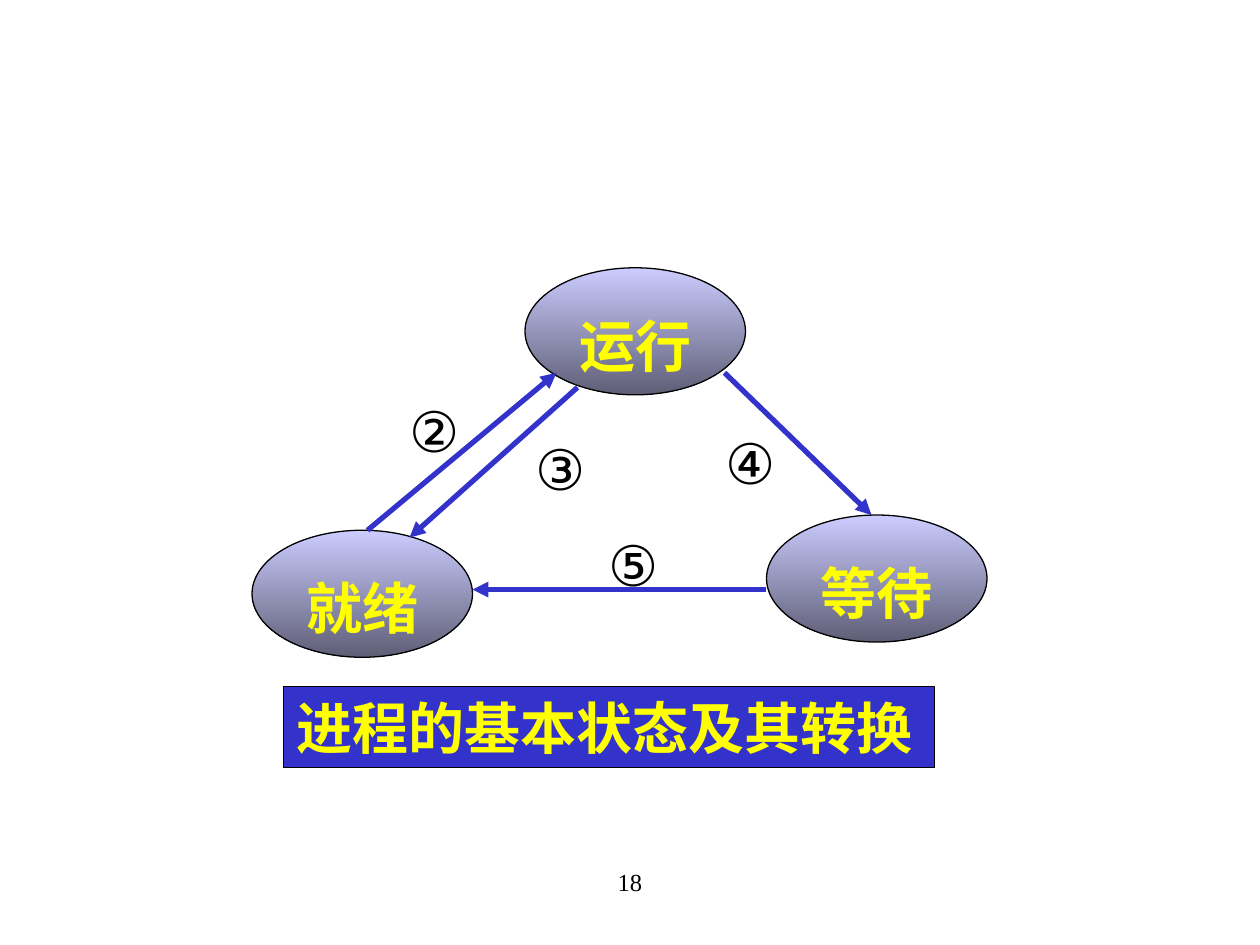
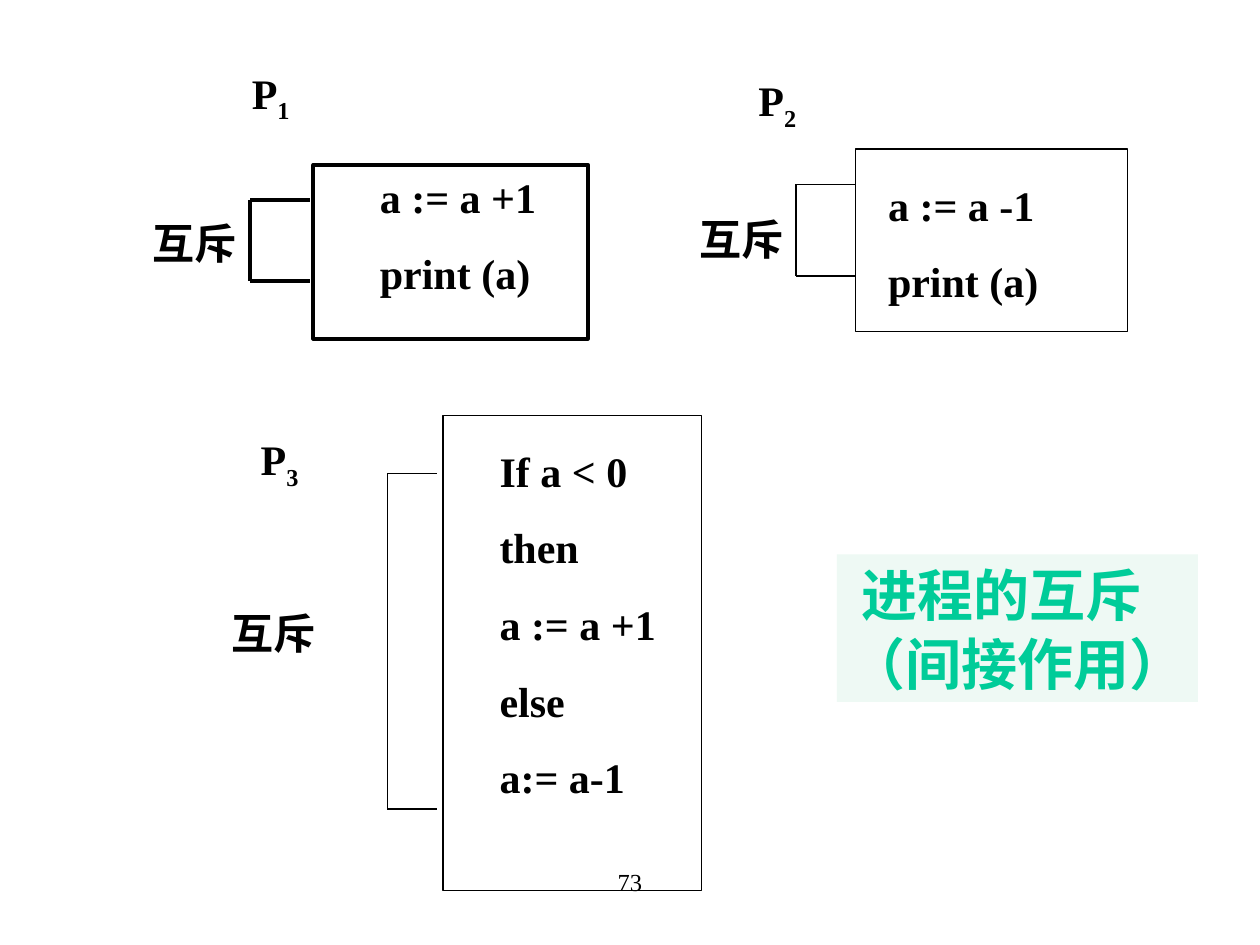
from dataclasses import dataclass

from lxml import etree
from pptx import Presentation
from pptx import util as u
from pptx.dml.color import RGBColor
from pptx.enum import shapes, text
from pptx.oxml.ns import qn

COLS, ROWS = 120, 90
CELL = u.Inches(10) // COLS

BLACK = RGBColor(0x00, 0x00, 0x00)
YELLOW = RGBColor(0xFF, 0xFF, 0x00)
BLUE = RGBColor(0x33, 0x33, 0xCC)
LILAC = RGBColor(0xCC, 0xCC, 0xFF)
SLATE = RGBColor(0x5E, 0x5E, 0x76)
GREEN = RGBColor(0x00, 0xCC, 0x99)
MINT = RGBColor(0xEE, 0xF9, 0xF4)

SERIF, SANS, CJK = "Times New Roman", "Arial", "Noto Sans CJK SC"


@dataclass
class Box:
    """A region in grid cells; inner() places a part relative to its corner."""
    x: float
    y: float
    w: float
    h: float

    def inner(self, x, y, w, h):
        return Box(self.x + x, self.y + y, w, h)

    def point(self, x, y):
        return cells(self.x + x), cells(self.y + y)

    def emu(self):
        return [cells(n) for n in (self.x, self.y, self.w, self.h)]


def cells(n):
    return round(n * CELL)


def style_run(r, size, color, bold, font):
    r.font.size = u.Pt(size)
    r.font.bold = bold
    r.font.color.rgb = color
    r.font.name = font
    ea = etree.SubElement(r.font._element, qn("a:ea"))
    ea.set("typeface", SANS if font == SANS else CJK)


def fill_text(sp, lines, size, color=BLACK, bold=True, font=SERIF,
              align=text.PP_ALIGN.LEFT, wrap=True, gap=0):
    tf = sp.text_frame
    tf.text = "\n".join(lines)
    tf.word_wrap = wrap
    tf.auto_size = text.MSO_AUTO_SIZE.NONE
    tf.vertical_anchor = text.MSO_ANCHOR.MIDDLE
    for i, p in enumerate(tf.paragraphs):
        p.alignment = align
        p.space_before = u.Pt(gap if i else 0)
        for r in p.runs:
            style_run(r, size, color, bold, font)
    return tf


def add_text(s, box, lines, size, **style):
    return fill_text(s.shapes.add_textbox(*box.emu()), lines, size, **style)


def add_outlined(s, kind, box, width=0.75):
    sp = s.shapes.add_shape(kind, *box.emu())
    sp.shadow.inherit = False
    sp.fill.background()
    sp.line.color.rgb = BLACK
    sp.line.width = u.Pt(width)
    return sp


def add_line(s, start, end, color=BLACK, width=0.75, arrow=False):
    c = s.shapes.add_connector(shapes.MSO_CONNECTOR.STRAIGHT, *start, *end)
    c.line.color.rgb = color
    c.line.width = u.Pt(width)
    if arrow:
        etree.SubElement(c.line._get_or_add_ln(), qn("a:tailEnd")).set("type", "triangle")
    etree.SubElement(c._element.spPr, qn("a:effectLst"))


def set_title(s, box, lines, color, fill):
    sp = s.shapes.title
    sp.left, sp.top, sp.width, sp.height = box.emu()
    sp.fill.solid()
    sp.fill.fore_color.rgb = fill
    tf = fill_text(sp, lines, 32, color=color, font=CJK)
    tf.margin_right = 0
    return sp


def new_slide(prs, number):
    s = prs.slides.add_slide(prs.slide_layouts[5])
    add_text(s, Box(41, 81.9, 38, 4.2), [number], 14, bold=False,
             align=text.PP_ALIGN.CENTER)
    return s


def add_state(s, box, name):
    sp = add_outlined(s, shapes.MSO_SHAPE.OVAL, box)
    sp.fill.gradient()
    sp.fill.gradient_angle = 270
    for stop, color, place in zip(sp.fill.gradient_stops, (LILAC, SLATE), (0, 1)):
        stop.color.rgb = color
        stop.position = place
    add_text(s, box.inner(4, 3.5, 14, 7.7), [name], 32, color=YELLOW)


def state_diagram(s, box):
    states = [("就绪", 0, 25), ("运行", 26, 0), ("等待", 49, 23.55)]
    for name, x, y in states:
        add_state(s, box.inner(x, y, 21, 12.1), name)

    # number, its corner, arrow start, arrow end
    transitions = [
        ("②", (13.8, 11.6), (11, 25), (29, 10)),
        ("③", (25.8, 15.2), (31, 11.4), (15, 25.7)),
        ("④", (43.9, 14.7), (45, 10), (59, 23.55)),
        ("⑤", (32.8, 24.4), (49, 30.65), (21, 30.65)),
    ]
    for number, corner, start, end in transitions:
        add_line(s, box.point(*start), box.point(*end), BLUE, 3, arrow=True)
        add_text(s, box.inner(*corner, 7.1, 7.7), [number], 32, bold=False,
                 font=SANS, wrap=False)

    title = set_title(s, box.inner(3, 39.9, 62, 7.7), ["进程的基本状态及其转换"],
                      YELLOW, BLUE)
    title.line.color.rgb = BLACK
    title.line.width = u.Pt(0.75)


def add_bracket(s, box, left, right, top, bottom, width):
    """Draw a bracket that opens to the right."""
    corners = [(right, top), (left, top), (left, bottom), (right, bottom)]
    for start, end in zip(corners, corners[1:]):
        add_line(s, box.point(*start), box.point(*end), width=width)


def process_panel(s, box, index, code, label_at, code_at, mutex_at, bracket,
                  width=0.75):
    add_outlined(s, shapes.MSO_SHAPE.RECTANGLE, box, width)
    add_text(s, box.inner(*code_at, 19, 7.33 * len(code) - 1.36), code, 24, gap=15)
    add_text(s, box.inner(*mutex_at, 10.3, 6), ["互斥"], 24, wrap=False)
    add_bracket(s, box, *bracket, width)

    tf = add_text(s, box.inner(*label_at, 9.5, 6.7), ["P"], 24)
    r = tf.paragraphs[0].add_run()
    r.text = index
    style_run(r, 24, BLACK, True, SERIF)
    r.font._element.set("baseline", "-25000")


def state_slide(prs):
    s = new_slide(prs, "18")
    state_diagram(s, Box(24, 25.5, 70, 48))


def mutex_slide(prs):
    s = new_slide(prs, "73")
    process_panel(s, Box(29.85, 15.7, 26.15, 16.55), "1", ["a := a +1", "print (a)"],
                  label_at=(-7.05, -9.9), code_at=(5.15, 0), mutex_at=(-16.5, 4.45),
                  bracket=(-6.05, -0.35, 3.35, 11.05), width=2.25)
    process_panel(s, Box(81.5, 14.2, 25.9, 17.4), "2", ["a := a -1", "print (a)"],
                  label_at=(-10.45, -7.7), code_at=(1.9, 2.25), mutex_at=(-16.1, 5.5),
                  bracket=(-5.7, 0, 3.35, 12.1))
    process_panel(s, Box(42.2, 39.6, 24.6, 45.25), "3",
                  ["If a < 0", "then", "a := a +1", "else", "a:= a-1"],
                  label_at=(-18.55, 1.1), code_at=(4.2, 2.15), mutex_at=(-21.35, 17.65),
                  bracket=(-5.3, -0.6, 5.5, 37.45))

    title = set_title(s, Box(79.7, 52.8, 34.4, 14.05), ["进程的互斥", "（间接作用）"],
                      GREEN, MINT)
    paragraphs = title.text_frame.paragraphs
    for p in paragraphs:
        p.line_spacing = u.Pt(38.9)
    paragraphs[0]._p.get_or_add_pPr().set("indent", str(cells(1.1)))


def main():
    prs = Presentation()
    prs.slide_width, prs.slide_height = COLS * CELL, ROWS * CELL
    state_slide(prs)
    mutex_slide(prs)
    prs.save("out.pptx")


if __name__ == "__main__":
    main()
